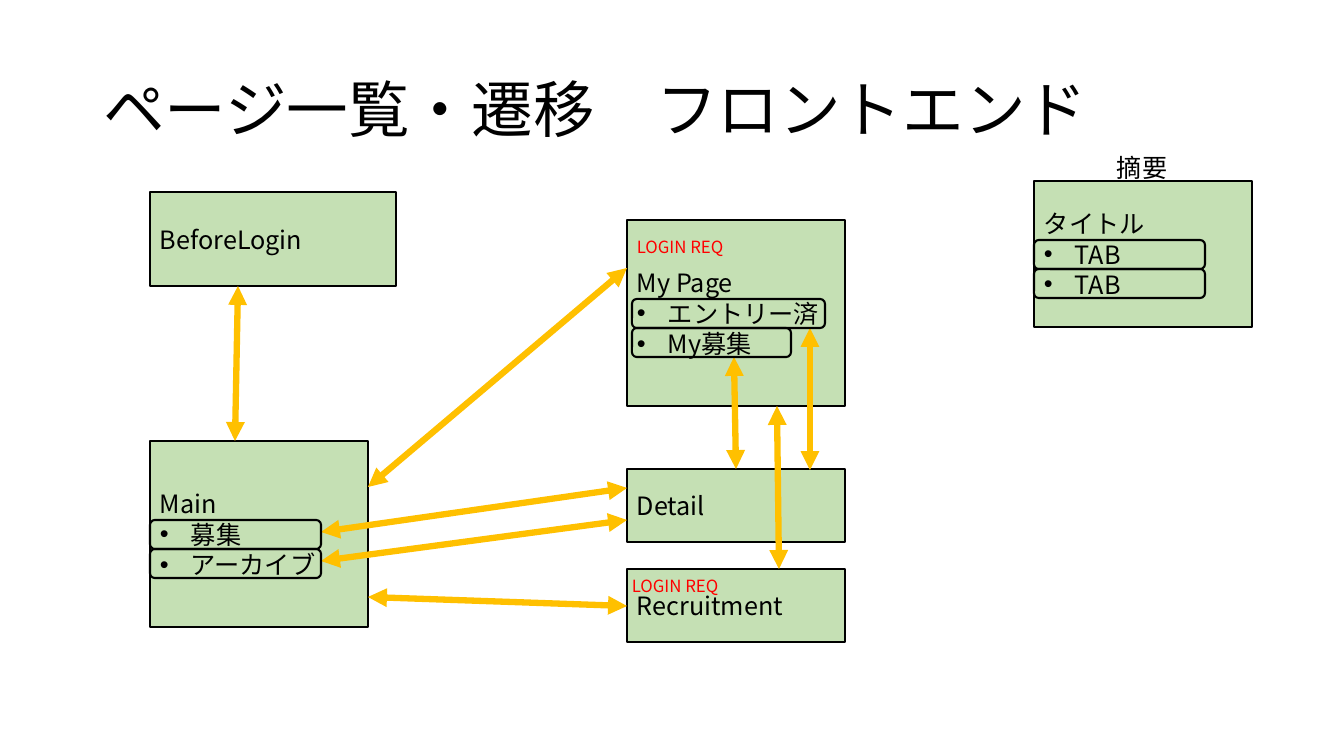
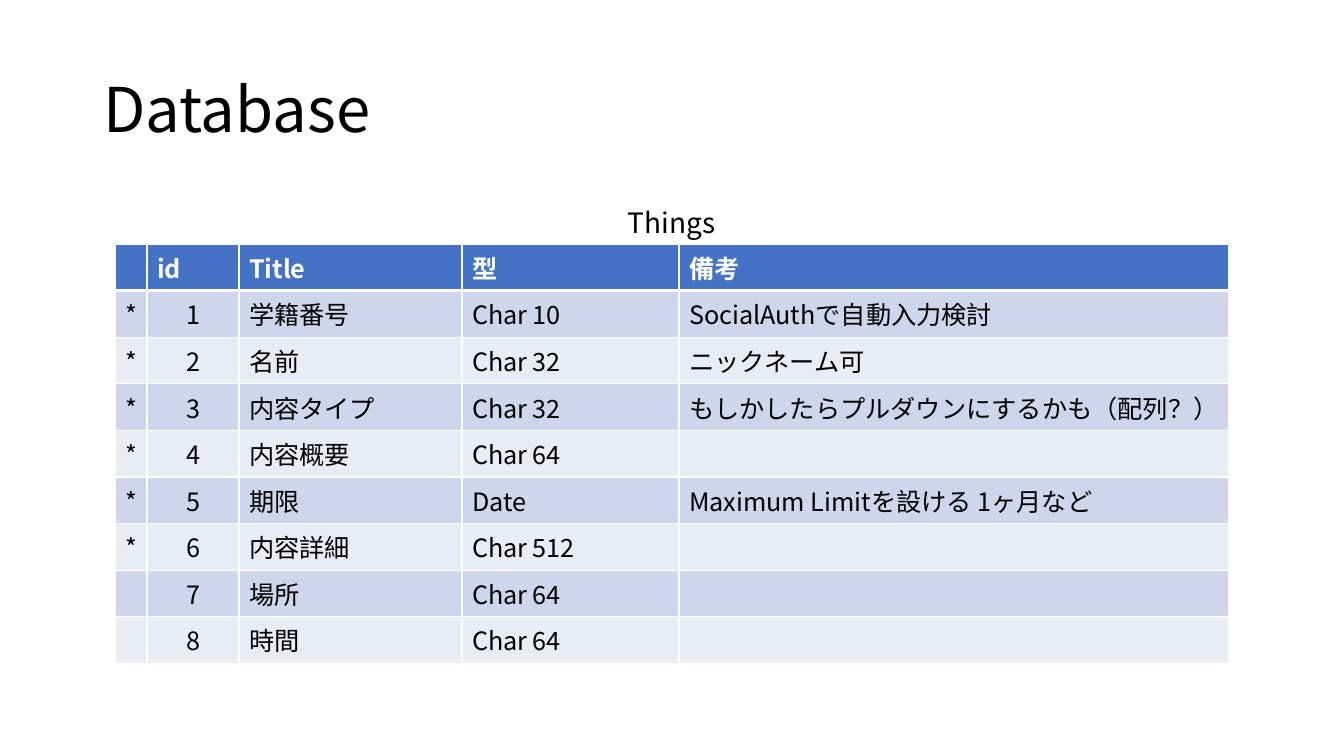
from lxml.etree import SubElement
from pptx import Presentation
from pptx.dml.color import RGBColor
from pptx.enum.shapes import MSO_CONNECTOR, MSO_SHAPE
from pptx.enum.text import MSO_ANCHOR, MSO_AUTO_SIZE, PP_ALIGN
from pptx.oxml.ns import qn
from pptx.util import Emu, Pt

# Content of the page map: name, box, tab origin, (tab, tab width)
PAGES = [
    ("Main", (150, 441, 218, 186), (150, 520), [("募集", 171), ("アーカイブ", 171)]),
    ("BeforeLogin", (150, 192, 246, 94), None, []),
    ("Detail", (627, 469, 218, 73), None, []),
    ("Recruitment", (627, 569, 218, 73), None, []),
    ("My Page", (627, 220, 218, 186), (632, 299), [("エントリー済", 193), ("My募集", 159)]),
    ("タイトル", (1034, 181, 218, 146), (1034, 240), [("TAB", 171), ("TAB", 171)]),
]
TRANSITIONS = [
    (368, 487, 627, 268), (321, 532, 627, 488), (321, 561, 627, 520),
    (368, 597, 627, 606), (736, 469, 734, 357), (810, 470, 810, 328),
    (777, 406, 779, 569), (235, 441, 238, 286),
]
LOGIN_LABELS = [(627, 232, 112, 30), (622, 571, 112, 30)]

# Content of the database table
COLUMNS = [("", 32), ("id", 92), ("Title", 223), ("型", 217), ("備考", 550)]
FIELDS = [
    ("*", "学籍番号", "Char 10", "SocialAuthで自動入力検討"),
    ("*", "名前", "Char 32", "ニックネーム可"),
    ("*", "内容タイプ", "Char 32", "もしかしたらプルダウンにするかも（配列？）"),
    ("*", "内容概要", "Char 64", ""),
    ("*", "期限", "Date", "Maximum Limitを設ける 1ヶ月など"),
    ("*", "内容詳細", "Char 512", ""),
    ("", "場所", "Char 64", ""),
    ("", "時間", "Char 64", ""),
]

# Shared style
FONT = "Noto Sans CJK JP"
BLACK, WHITE, RED = "000000", "FFFFFF", "FF0000"
GREEN, AMBER, HEADER = "C5E0B4", "FFC000", "4472C4"
BANDS = ("CFD5EA", "E9EBF5")
TITLE_BOX = (93, 40, 1159, 146)
TAB_HEIGHT, ROW_HEIGHT, BULLET_INDENT = 29, 41, 31


def px(*lengths):
    return [Emu(round(length * 914400 / 100.8)) for length in lengths]


def color(hex_code):
    return RGBColor.from_string(hex_code)


def add_run(paragraph, words, size=18, ink=BLACK, bold=False):
    run = paragraph.add_run()
    run.text = words
    run.font.name, run.font.size, run.font.bold = FONT, Pt(size), bold
    run.font.color.rgb = color(ink)
    SubElement(run.font._element, qn("a:ea"), typeface=FONT)


def add_titled_slide(words):
    slide = deck.slides.add_slide(deck.slide_layouts[5])
    title = slide.shapes.title
    title.left, title.top, title.width, title.height = px(*TITLE_BOX)
    frame = title.text_frame
    frame.auto_size, frame.vertical_anchor = MSO_AUTO_SIZE.NONE, MSO_ANCHOR.MIDDLE
    heading = frame.paragraphs[0]
    heading.alignment, heading.line_spacing = PP_ALIGN.LEFT, 0.9
    add_run(heading, words, 44)
    return slide


def add_label(slide, words, box, size=18, ink=BLACK):
    frame = slide.shapes.add_textbox(*px(*box)).text_frame
    frame.word_wrap, frame.auto_size = False, MSO_AUTO_SIZE.SHAPE_TO_FIT_TEXT
    add_run(frame.paragraphs[0], words, size, ink)


def add_outlined(slide, preset, box, weight):
    outlined = slide.shapes.add_shape(preset, *px(*box))
    outlined.shadow.inherit = False
    outlined.line.color.rgb, outlined.line.width = color(BLACK), Pt(weight)
    return outlined


def add_page(slide, name, box, tabs):
    page = add_outlined(slide, MSO_SHAPE.RECTANGLE, box, 1)
    page.fill.solid()
    page.fill.fore_color.rgb = color(GREEN)
    frame = page.text_frame
    frame.word_wrap, frame.vertical_anchor = True, MSO_ANCHOR.MIDDLE
    heading = frame.paragraphs[0]
    heading.alignment = PP_ALIGN.LEFT
    add_run(heading, name)
    indent = px(BULLET_INDENT)[0]
    for tab, _ in tabs:
        item = frame.add_paragraph()
        item.alignment = PP_ALIGN.LEFT
        properties = item._p.get_or_add_pPr()
        properties.set("marL", str(indent))
        properties.set("indent", str(-indent))
        SubElement(properties, qn("a:buFont"), typeface="Arial")
        SubElement(properties, qn("a:buChar"), char="•")
        add_run(item, tab)


def add_transition(slide, ends):
    arrow = slide.shapes.add_connector(MSO_CONNECTOR.STRAIGHT, *px(*ends))
    arrow.line.color.rgb, arrow.line.width = color(AMBER), Pt(4.5)
    for end in ("a:headEnd", "a:tailEnd"):
        SubElement(arrow.line._get_or_add_ln(), qn(end), type="triangle")
    SubElement(arrow._element.spPr, qn("a:effectLst"))


def fill_cell(cell, words, fill, ink, bold, centered, bottom):
    properties = cell._tc.get_or_add_tcPr()
    for side, weight in (("L", 1), ("R", 1), ("T", 1), ("B", bottom)):
        border = SubElement(properties, qn("a:ln" + side), w=str(Pt(weight)))
        SubElement(SubElement(border, qn("a:solidFill")), qn("a:srgbClr"), val=WHITE)
    cell.fill.solid()
    cell.fill.fore_color.rgb = color(fill)
    if words:
        paragraph = cell.text_frame.paragraphs[0]
        paragraph.alignment = PP_ALIGN.CENTER if centered else PP_ALIGN.LEFT
        add_run(paragraph, words, ink=ink, bold=bold)


deck = Presentation()
deck.slide_width, deck.slide_height = px(1344, 756)

# Page map
page_map = add_titled_slide("ページ一覧・遷移　フロントエンド")
for name, box, _, tabs in PAGES:
    add_page(page_map, name, box, tabs)
add_label(page_map, "摘要", (1107, 147, 72, 40))
for ends in TRANSITIONS:
    add_transition(page_map, ends)
for _, _, origin, tabs in PAGES:
    for position, (_, width) in enumerate(tabs):
        left, top = origin
        tab_box = (left, top + position * TAB_HEIGHT, width, TAB_HEIGHT)
        add_outlined(page_map, MSO_SHAPE.ROUNDED_RECTANGLE, tab_box, 1.5).fill.background()
for box in LOGIN_LABELS:
    add_label(page_map, "LOGIN REQ", box, 12, RED)

# Database table
database = add_titled_slide("Database")
rows = [[heading for heading, _ in COLUMNS]]
rows += [(mark, str(number), *rest) for number, (mark, *rest) in enumerate(FIELDS, 1)]
widths = [width for _, width in COLUMNS]
things = database.shapes.add_table(
    len(rows), len(COLUMNS), *px(115, 244, sum(widths), ROW_HEIGHT * len(rows))).table
for column, width in zip(things.columns, px(*widths)):
    column.width = width
for r, row in enumerate(rows):
    things.rows[r].height = px(ROW_HEIGHT)[0]
    header = r == 0
    fill, ink = (HEADER, WHITE) if header else (BANDS[(r - 1) % 2], BLACK)
    for c, words in enumerate(row):
        fill_cell(things.cell(r, c), words, fill, ink, bold=header,
                  centered=not header and c < 2, bottom=3 if header else 1)
add_label(database, "Things", (618, 201, 108, 44), 20)

deck.save("out.pptx")
